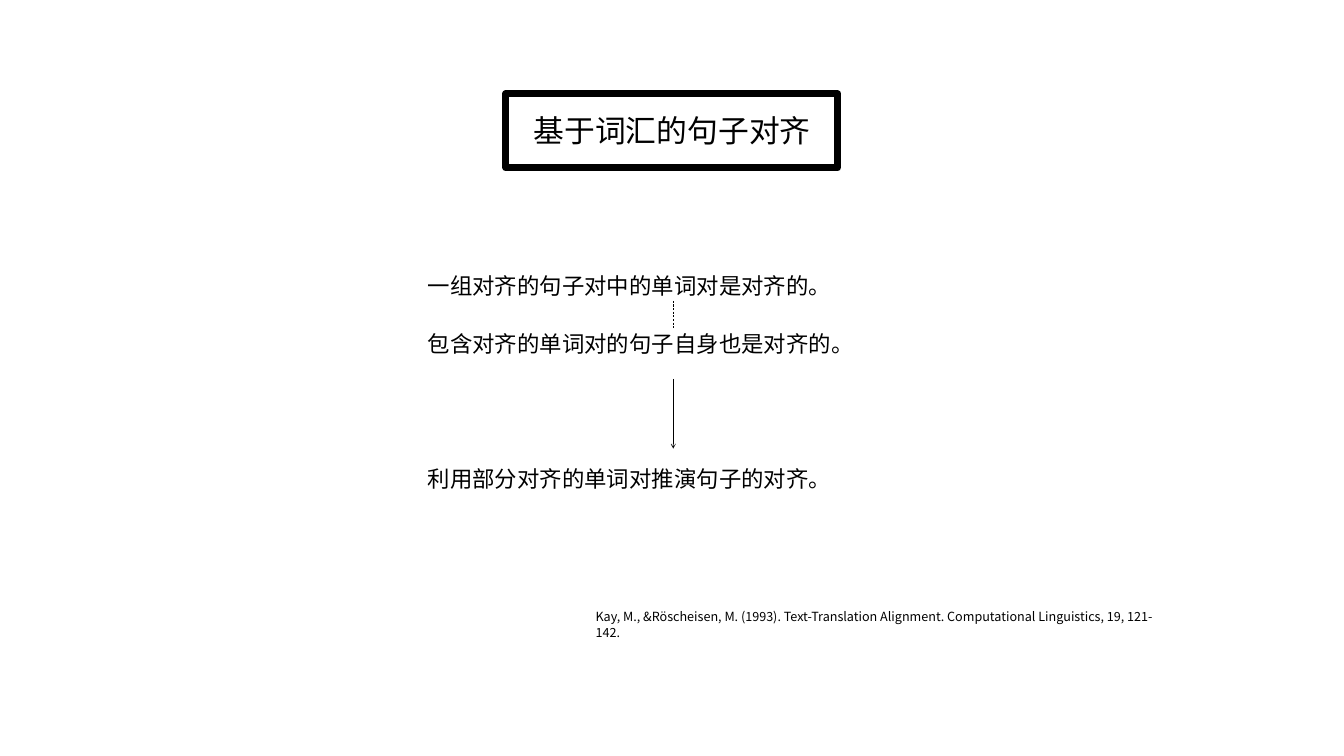
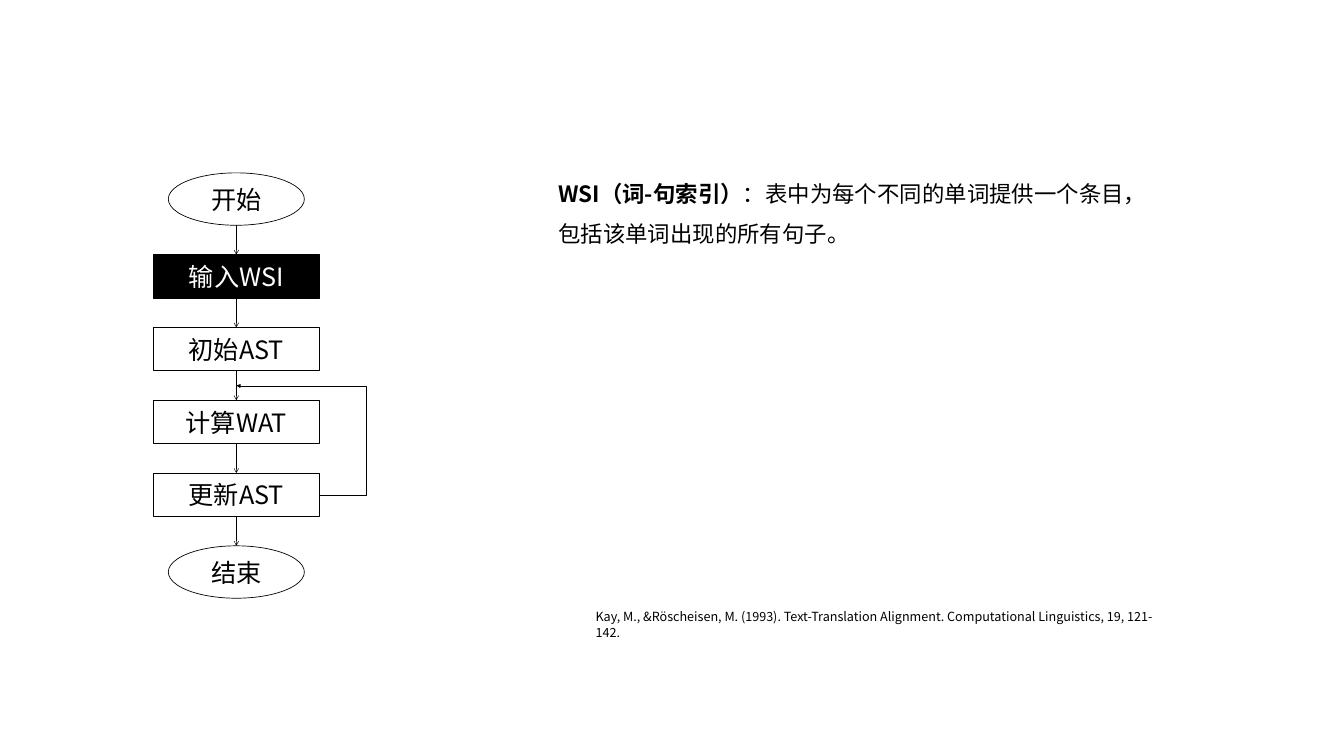
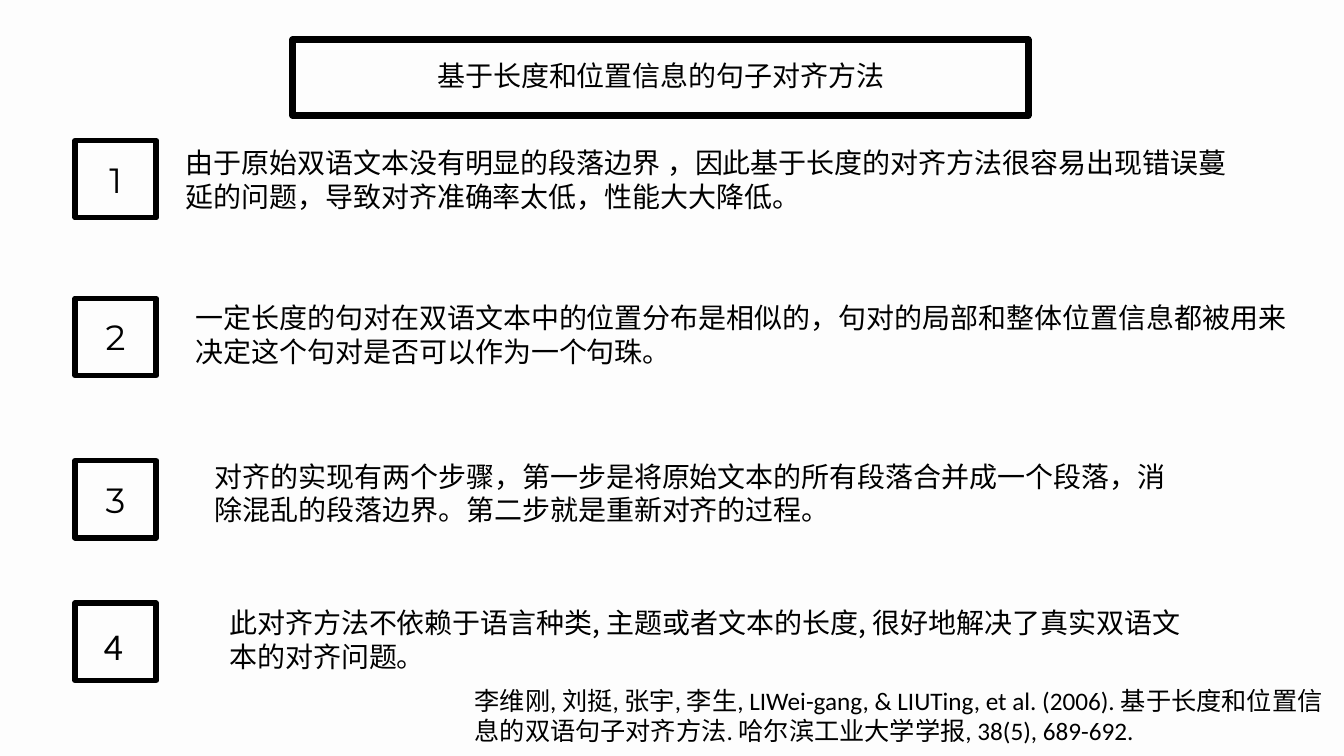
from lxml.etree import SubElement
from pptx import Presentation
from pptx.dml.color import RGBColor
from pptx.enum.dml import MSO_LINE as Dash
from pptx.enum.shapes import MSO_CONNECTOR as Link, MSO_SHAPE as Form
from pptx.enum.text import MSO_ANCHOR as Anchor, MSO_AUTO_SIZE as Fit, PP_ALIGN as Align
from pptx.oxml.ns import qn
from pptx.util import Inches, Pt

COLORS = {"ink": "000000", "paper": "FFFFFF", "pale": "FDFDFD"}
SANS, DIGIT, LATIN = "Noto Sans CJK SC", "Montserrat", "Calibri"
CITE = "Kay, M., &Röscheisen, M. (1993). Text-Translation Alignment. Computational Linguistics, 19, 121-142."

IDEA = {
    "title": "基于词汇的句子对齐",
    "claims": [
        (5.34, "一组对齐的句子对中的单词对是对齐的。"),
        (6.51, "包含对齐的单词对的句子自身也是对齐的。"),
        (9.17, "利用部分对齐的单词对推演句子的对齐。"),
    ],
}
FLOW = {
    "steps": ["开始", "输入WSI", "初始AST", "计算WAT", "更新AST", "结束"],
    "active": 1,
    "term": "WSI（词-句索引）",
    "note": "：表中为每个不同的单词提供一个条目，包括该单词出现的所有句子。",
}
METHOD = {
    "title": "基于长度和位置信息的句子对齐方法",
    "points": [
        (2.79, (3.58, 2.84, 21.27, 1.45), "由于原始双语文本没有明显的段落边界 ，因此基于长度的对齐方法很容易出现错误蔓延的问题，导致对齐准确率太低，性能大大降低。"),
        (5.92, (3.78, 5.92, 22.12, 1.45), "一定长度的句对在双语文本中的位置分布是相似的，句对的局部和整体位置信息都被用来决定这个句对是否可以作为一个句珠。"),
        (9.14, (4.16, 9.06, 19.16, 1.46), "对齐的实现有两个步骤，第一步是将原始文本的所有段落合并成一个段落，消除混乱的段落边界。第二步就是重新对齐的过程。"),
        (11.97, (4.45, 11.97, 19.54, 1.45), "此对齐方法不依赖于语言种类, 主题或者文本的长度, 很好地解决了真实双语文本的对齐问题。"),
    ],
    "cite": "李维刚, 刘挺, 张宇, 李生, LIWei-gang, & LIUTing, et al. (2006). 基于长度和位置信息的双语句子对齐方法. 哈尔滨工业大学学报, 38(5), 689-692.",
}


def color(key):
    return RGBColor.from_string(COLORS[key])


def place(box):
    return [Inches(n) for n in box]


def style(para, size, font=SANS, ink="ink", align=Align.LEFT):
    para.alignment = align
    para.font.size = Pt(size)
    para.font.name = font
    para.font.color.rgb = color(ink)


def add_page(deck, layout, back="paper"):
    page = deck.slides.add_slide(deck.slide_layouts[layout])
    page.background.fill.solid()
    page.background.fill.fore_color.rgb = color(back)
    return page


def add_text(page, box, text, size, font=SANS, align=Align.LEFT):
    frame = page.shapes.add_textbox(*place(box)).text_frame
    frame.word_wrap = True
    para = frame.paragraphs[0]
    para.text = text
    style(para, size, font, align=align)
    return para


def add_box(page, form, box, width, fill=None):
    shape = page.shapes.add_shape(form, *place(box))
    shape.shadow.inherit = False
    if fill:
        shape.fill.solid()
        shape.fill.fore_color.rgb = color(fill)
    else:
        shape.fill.background()
    shape.line.color.rgb = color("ink")
    shape.line.width = Pt(width)
    return shape


def add_title(page, text, box, size, border):
    add_box(page, Form.RECTANGLE, border, 10)
    title = page.shapes.title
    title.left, title.top, title.width, title.height = place(box)
    frame = title.text_frame
    frame.text = text
    frame.word_wrap = True
    frame.auto_size = Fit.NONE
    frame.vertical_anchor = Anchor.TOP
    style(frame.paragraphs[0], size, align=Align.CENTER)


def add_line(page, start, end, head=None, width=0.75, kind=Link.STRAIGHT):
    line = page.shapes.add_connector(kind, *place(start + end))
    line.line.color.rgb = color("ink")
    line.line.width = Pt(width)
    if head:
        SubElement(line.line._get_or_add_ln(), qn("a:tailEnd"), type=head)
    SubElement(line._element.spPr, qn("a:effectLst"))
    return line


def add_loop(page, start, end):
    loop = add_line(page, start, end, "triangle", 0.5, Link.ELBOW)
    geom = loop._element.spPr.find(qn("a:prstGeom"))
    geom.set("prst", "bentConnector4")
    bends = geom.find(qn("a:avLst"))
    for name, value in (("adj1", -56000), ("adj2", 99600)):
        SubElement(bends, qn("a:gd"), name=name, fmla=f"val {value}")


def add_cite(page):
    add_text(page, (11.72, 12.04, 11.3, 0.4), CITE, 18)


def build_idea(deck):
    page = add_page(deck, 5)
    add_title(page, IDEA["title"], (8.37, 2.17, 9.94, 0.84), 44, (10.04, 1.86, 6.58, 1.47))
    for top, text in IDEA["claims"]:
        add_text(page, (8.39, top, 9.94, 0.64), text, 32)
    mid = 13.36
    add_line(page, (mid, 5.97), (mid, 6.51)).line.dash_style = Dash.DASH
    add_line(page, (mid, 7.52), (mid, 8.9), "arrow")
    add_cite(page)


def build_flow(deck):
    page = add_page(deck, 6)
    steps = FLOW["steps"]
    last = len(steps) - 1
    mid, top, end = 4.69, 3.43, 11.87
    oval, rect = (Form.OVAL, 2.7, 1.04), (Form.RECTANGLE, 3.3, 0.86)
    forms = [oval if i in (0, last) else rect for i in range(len(steps))]
    gap = (end - top - sum(high for _, _, high in forms)) / last
    tops = []
    for i, (text, (form, wide, high)) in enumerate(zip(steps, forms)):
        fill, ink = ("ink", "paper") if i == FLOW["active"] else ("paper", "ink")
        shape = add_box(page, form, (mid - wide / 2, top, wide, high), 1, fill)
        frame = shape.text_frame
        frame.text = text
        frame.vertical_anchor = Anchor.MIDDLE
        style(frame.paragraphs[0], 36, ink=ink, align=Align.CENTER)
        tops.append(top)
        top += high + gap
        if i < last:
            add_line(page, (mid, top - gap), (mid, top), "arrow")
    _, wide, high = rect
    add_loop(page, (mid + wide / 2, tops[4] + high / 2), (mid, tops[3] - gap / 2))
    para = add_text(page, (10.98, 3.25, 12.15, 2.44), FLOW["term"], 32)
    para.line_spacing = 1.5
    para.runs[0].font.bold = True
    para.add_run().text = FLOW["note"]
    add_cite(page)


def build_method(deck):
    page = add_page(deck, 5, "pale")
    add_title(page, METHOD["title"], (5.56, 1.11, 15.11, 0.77), 40, (5.81, 0.79, 14.59, 1.5))
    points = METHOD["points"]
    for num, (top, box, text) in enumerate(points, 1):
        add_box(page, Form.RECTANGLE, (1.49, top, 1.61, 1.53), 8)
        if num < len(points):
            add_text(page, (1.96, top + 0.3, 0.67, 0.94), str(num), 50, DIGIT, Align.CENTER)
        else:
            add_text(page, (1.96, top + 0.33, 0.49, 0.78), str(num), 54, LATIN)
        add_text(page, box, text, 40)
    add_text(page, (9.32, 13.54, 17.44, 1.92), METHOD["cite"], 36, LATIN)


def main():
    deck = Presentation()
    deck.slide_width, deck.slide_height = Inches(26.67), Inches(15)
    build_idea(deck)
    build_flow(deck)
    build_method(deck)
    deck.save("out.pptx")


if __name__ == "__main__":
    main()
